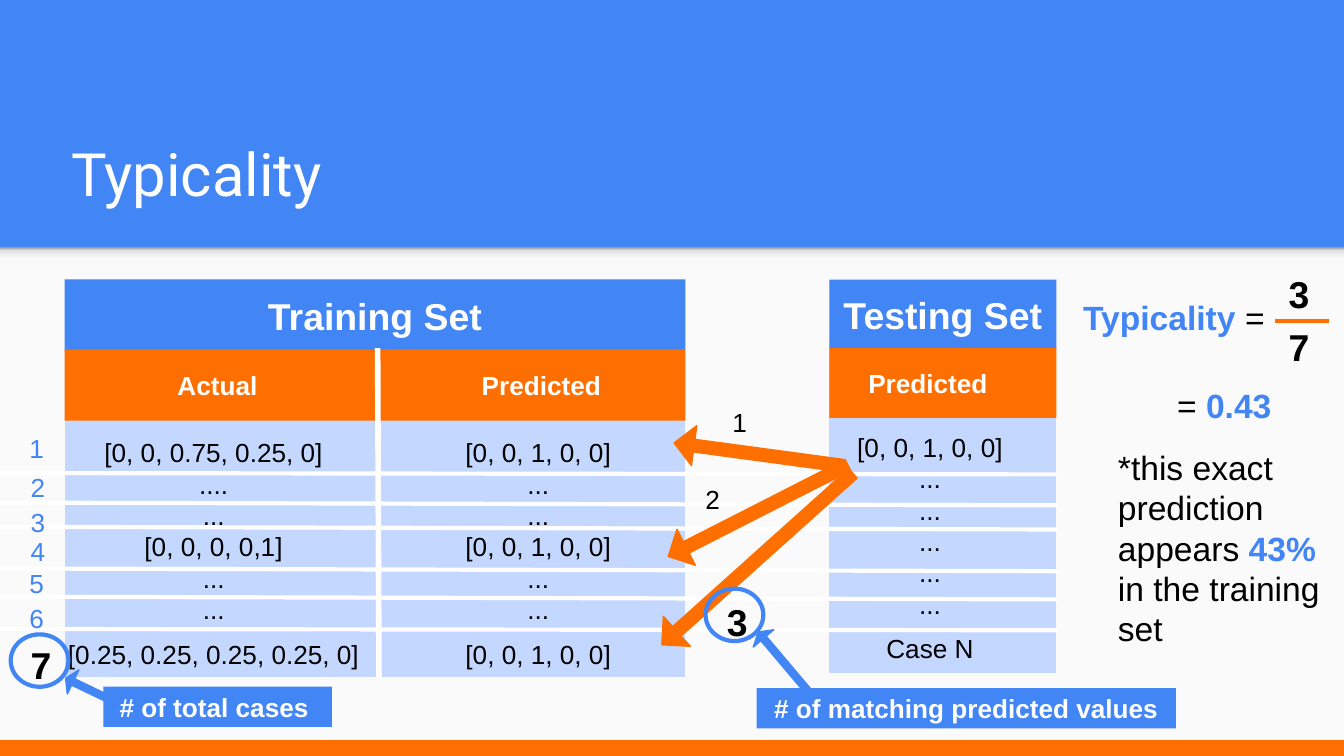
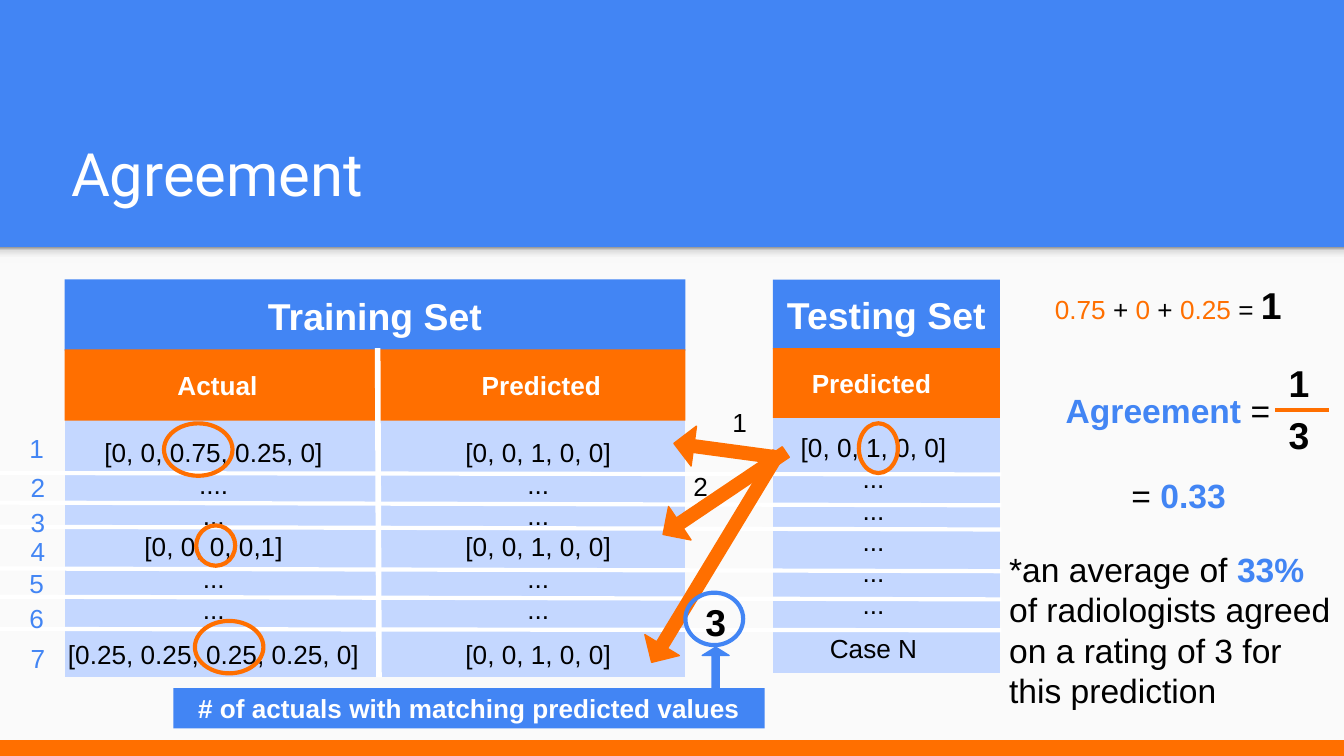
import pptx
import pptx.util
import pptx.dml.color
import pptx.enum.shapes
import pptx.enum.text
import pptx.oxml
import pptx.oxml.ns
from lxml import etree

RGBColor = pptx.dml.color.RGBColor
SHAPE = pptx.enum.shapes.MSO_SHAPE
ALIGN = pptx.enum.text.PP_ALIGN
ANCHOR = pptx.enum.text.MSO_ANCHOR

# Colours
BLUE = RGBColor(0x42, 0x85, 0xF4)
ORANGE = RGBColor(0xFF, 0x6F, 0x00)
PALE_BLUE = RGBColor(0xC4, 0xD7, 0xFF)
PAPER = RGBColor(0xFA, 0xFA, 0xFA)
WHITE = RGBColor(0xFF, 0xFF, 0xFF)
BLACK = RGBColor(0, 0, 0)
SHADE_STOPS = [(0, "999999"), (20, "DEDEDE"), (64, "F9F9F9"), (100, "F9F9F9")]

# 100 px to the inch
PX = 9144
INSET = 10

# Table content and row positions
MATCH = "[0, 0, 1, 0, 0]"
ACTUALS = ["[0, 0, 0.75, 0.25, 0]", "....", "...", "[0, 0, 0, 0,1]",
           "...", "...", "[0.25, 0.25, 0.25, 0.25, 0]"]
PREDICTIONS = [MATCH, "...", "...", MATCH, "...", "...", MATCH]
TEST_CASES = [MATCH] + ["..."] * 5 + ["Case N"]
DIVIDERS = [(352, 353), (374, 376), (392, 394), (423, 425), (444, 446), (468, 469)]
ROW_NUMBERS = [(12, 312), (13, 341), (13, 367), (13, 388), (12, 412), (12, 438), (13, 468)]


def px(n):
    return pptx.util.Emu(round(n * PX))


def add_run(p, text, size=14, color=BLACK, bold=False, font="Arial"):
    r = p.add_run()
    r.text = text
    r.font.size = pptx.util.Pt(size)
    r.font.color.rgb = color
    r.font.bold = bold
    r.font.name = font


def set_frame(tf, anchor, left=INSET, right=INSET):
    tf.word_wrap = True
    tf.vertical_anchor = anchor
    tf.margin_left, tf.margin_right = px(left), px(right)
    tf.margin_top = tf.margin_bottom = px(INSET)


def add_text(s, x, y, w, h, runs, anchor=ANCHOR.TOP, left=INSET):
    """Text box with one paragraph; each run is (text, size, color, bold, font)."""
    tf = s.shapes.add_textbox(px(x), px(y), px(w), px(h)).text_frame
    set_frame(tf, anchor, left)
    for run in runs:
        add_run(tf.paragraphs[0], *run)


def add_number(s, x, y, text, color=BLACK):
    add_text(s, x, y, 31, 39, [(text, 14, color)])


def add_big_number(s, x, y, text):
    add_text(s, x, y, 31, 39, [(text, 20, BLACK, True)])


def add_shape(s, kind, x, y, w, h, fill=None, line=None, width=0.75):
    sp = s.shapes.add_shape(kind, px(x), px(y), px(w), px(h))
    sp.shadow.inherit = False
    if fill is None:
        sp.fill.background()
    else:
        sp.fill.solid()
        sp.fill.fore_color.rgb = fill
    if line is None:
        sp.line.fill.background()
    else:
        sp.line.color.rgb = line
        sp.line.width = pptx.util.Pt(width)
    return sp


def add_label(s, x, y, w, h, text, fill=BLUE, size=14, right=INSET):
    tf = add_shape(s, SHAPE.RECTANGLE, x, y, w, h, fill).text_frame
    set_frame(tf, ANCHOR.MIDDLE, right=right)
    p = tf.paragraphs[0]
    p.alignment = ALIGN.CENTER
    add_run(p, text, size, WHITE, True)
    return p


def add_ring(s, x, y, w, h, color):
    add_shape(s, SHAPE.OVAL, x, y, w, h, line=color, width=2.25)


def add_arrow(s, x, y, w, h, angle, color, adjustments):
    sp = add_shape(s, SHAPE.RIGHT_ARROW, x, y, w, h, color, color)
    sp.adjustments[0], sp.adjustments[1] = adjustments
    sp.rotation = angle


def add_match_arrow(s, x, y, w, angle):
    add_arrow(s, x, y, w, 30, angle, ORANGE, (0.314, 0.5))


def add_pointer(s, x, y, w, angle):
    add_arrow(s, x, y, w, 20, angle, BLUE, (0.263, 0.31))


def add_line(s, x1, y1, x2, y2, color, width=2.25):
    c = s.shapes.add_connector(pptx.enum.shapes.MSO_CONNECTOR.STRAIGHT,
                               px(x1), px(y1), px(x2), px(y2))
    c.line.color.rgb = color
    c.line.width = pptx.util.Pt(width)
    etree.SubElement(c._element.spPr, pptx.oxml.ns.qn("a:effectLst"))


def add_fraction(s, y, top, bottom):
    add_line(s, 949, y + 47, 989, y + 47, ORANGE)
    add_big_number(s, 949, y, top)
    add_big_number(s, 949, y + 39, bottom)


def add_column(s, x, y, w, h, rows):
    tf = s.shapes.add_textbox(px(x), px(y), px(w), px(h)).text_frame
    set_frame(tf, ANCHOR.TOP)
    for i, row in enumerate(rows):
        p = tf.paragraphs[0] if i == 0 else tf.add_paragraph()
        p.alignment = ALIGN.CENTER
        add_run(p, row)
    p.space_before = pptx.util.Pt(7)


def fill_shade(sp):
    """Vertical four-stop gradient under the title band."""
    stops = "".join(f'<a:gs pos="{pos * 1000}"><a:srgbClr val="{color}"/></a:gs>'
                    for pos, color in SHADE_STOPS)
    grad = pptx.oxml.parse_xml(
        f'<a:gradFill {pptx.oxml.ns.nsdecls("a")}><a:gsLst>{stops}</a:gsLst>'
        '<a:lin ang="5400000" scaled="0"/></a:gradFill>')
    solid = sp._element.spPr.find(pptx.oxml.ns.qn("a:solidFill"))
    solid.getparent().replace(solid, grad)


def add_slide(prs, title):
    s = prs.slides.add_slide(prs.slide_layouts[6])
    s.background.fill.solid()
    s.background.fill.fore_color.rgb = BLUE
    add_shape(s, SHAPE.RECTANGLE, 0, 184, 1000, 378, PAPER)
    fill_shade(add_shape(s, SHAPE.RECTANGLE, 0, 184, 1000, 12, PAPER))
    add_text(s, 43, 81, 899, 84, [(title, 32, WHITE, False, "Roboto")], ANCHOR.BOTTOM)
    add_shape(s, SHAPE.RECTANGLE, 0, 551, 1000, 11, ORANGE, ORANGE)
    return s


def add_training_set(s):
    add_shape(s, SHAPE.FLOWCHART_PROCESS, 48, 258, 462, 246, PALE_BLUE)
    add_label(s, 48, 208, 462, 53, "Training Set", size=20)
    # Both column heads sit on centred tab stops
    p = add_label(s, 48, 260, 462, 53, "\tActual\tPredicted", ORANGE)
    p.alignment = ALIGN.LEFT
    tabs = etree.SubElement(p._p.get_or_add_pPr(), pptx.oxml.ns.qn("a:tabLst"))
    for pos in (104, 345):
        etree.SubElement(tabs, pptx.oxml.ns.qn("a:tab"), pos=str(px(pos)), algn="ctr")
    add_column(s, 39, 315, 240, 193, ACTUALS)
    add_column(s, 297, 315, 207, 193, PREDICTIONS)
    add_line(s, 281, 259, 282, 504, WHITE, 3)


def add_testing_set(s, x):
    add_shape(s, SHAPE.FLOWCHART_PROCESS, x, 258, 169, 243, PALE_BLUE)
    add_label(s, x, 208, 169, 52, "Testing Set", size=20)
    add_label(s, x, 259, 169, 52, "Predicted", ORANGE, right=32)
    add_column(s, x - 7, 311, 164, 190, TEST_CASES)


def add_tables(s, testing_x):
    add_training_set(s)
    add_testing_set(s, testing_x)
    for y1, y2 in DIVIDERS:
        add_line(s, 0, y1, testing_x + 170, y2, WHITE)


def add_row_numbers(s, count):
    for i, (x, y) in enumerate(ROW_NUMBERS[:count], 1):
        add_number(s, x, y, str(i), BLUE)


def add_result(s, x, y, value):
    add_text(s, x, y, 98, 43, [("= ", 18), (value, 18, BLUE, True)], ANCHOR.MIDDLE)


def add_remark(s, x, y, w, before, value, after):
    add_text(s, x, y, w, 167,
             [(before, 18), (value, 18, BLUE, True), (after, 18)], ANCHOR.MIDDLE)


def add_measure(s, x, y, w, name):
    add_text(s, x, y, w, 52, [(name, 18, BLUE, True), (" =", 18)], left=31)


def build_typicality(prs):
    s = add_slide(prs, "Typicality")
    add_tables(s, 617)

    # Matching cases
    add_match_arrow(s, 489, 365, 150, 153)
    add_match_arrow(s, 468, 401, 191, 138.1)
    add_match_arrow(s, 501, 323, 126, 187.7)
    add_number(s, 535, 292, "1")
    add_number(s, 515, 350, "2")
    add_big_number(s, 531, 436, "3")
    add_ring(s, 525, 438, 43, 39, BLUE)
    add_pointer(s, 554, 482, 57, 229.8)
    add_label(s, 563, 512, 312, 30, "# of matching predicted values")

    # Total cases
    add_row_numbers(s, 6)
    add_big_number(s, *ROW_NUMBERS[6], "7")
    add_ring(s, 8, 472, 43, 39, BLUE)
    add_pointer(s, 46, 507, 57, 205.7)
    add_label(s, 77, 511, 170, 30, "# of total cases", right=15)

    # Formula
    add_measure(s, 775, 211, 185, "Typicality")
    add_fraction(s, 192, "3", "7")
    add_result(s, 866, 280, "0.43")
    add_remark(s, 822, 324, 177, "*this exact prediction appears ", "43%",
               " in the training set")


def build_agreement(prs):
    s = add_slide(prs, "Agreement")
    add_tables(s, 575)

    # Matching cases
    add_match_arrow(s, 484, 352, 110, 146.1)
    add_match_arrow(s, 441, 400, 182, 121.2)
    add_match_arrow(s, 501, 320, 76, 187.7)
    add_number(s, 535, 292, "1")
    add_number(s, 506, 340, "2")
    add_big_number(s, 515, 436, "3")
    add_ring(s, 510, 441, 43, 39, BLUE)
    add_pointer(s, 513, 491, 39, 270)
    add_label(s, 129, 512, 440, 30, "# of actuals with matching predicted values")
    add_row_numbers(s, 7)

    # Values compared
    for ring in [(122, 315, 51, 39), (146, 391, 29, 30),
                 (145, 462, 51, 39), (639, 315, 29, 37)]:
        add_ring(s, *ring, ORANGE)

    # Formula
    add_text(s, 775, 200, 212, 53, [
        ("0.75", 14, ORANGE), (" + ",), ("0", 14, ORANGE), (" + ",),
        ("0.25", 14, ORANGE), (" = ",), ("1", 20, BLACK, True)])
    add_measure(s, 762, 280, 207, "Agreement")
    add_fraction(s, 258, "1", "3")
    add_result(s, 832, 347, "0.33")
    add_remark(s, 741, 385, 262, "*an average of ", "33%",
               " of radiologists agreed on a rating of 3 for this prediction")


def main():
    prs = pptx.Presentation()
    prs.slide_width, prs.slide_height = px(1000), px(562.5)
    build_typicality(prs)
    build_agreement(prs)
    prs.save("out.pptx")


if __name__ == "__main__":
    main()
